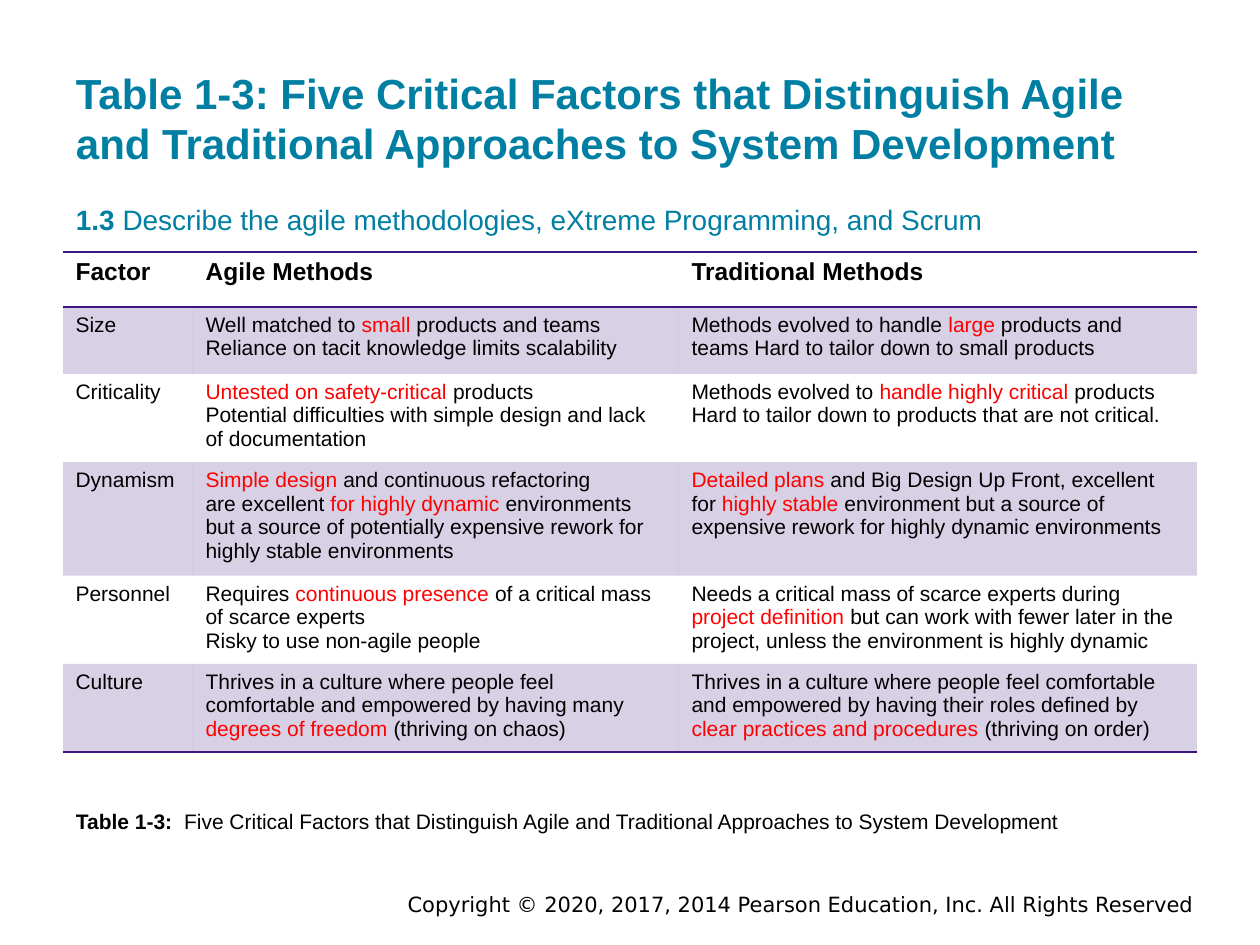
from lxml.etree import SubElement
from pptx import Presentation
from pptx.dml.color import RGBColor
from pptx.enum.text import MSO_ANCHOR as Anchor, PP_ALIGN as Align
from pptx.oxml.ns import qn
from pptx.util import Emu, Pt

COLORS = {"teal": "007FA3", "purple": "3C1581", "black": "000000", "red": "FF0000"}
TITLE = "Five Critical Factors that Distinguish Agile and Traditional Approaches to System Development"
LEFT, WIDTH = 63, 1134
COLUMNS = [130, 486, 518]
ROW_HEIGHTS = [55, 67, 83, 107, 83, 83]

FACTORS = [
    ["Factor", "Agile Methods", "Traditional Methods"],
    ["Size",
     "Well matched to |small| products and teams Reliance on tacit knowledge limits scalability",
     "Methods evolved to handle |large| products and teams Hard to tailor down to small products"],
    ["Criticality",
     "|Untested on safety-critical |products\n"
     "Potential difficulties with simple design and lack of documentation",
     "Methods evolved to |handle highly critical |products "
     "Hard to tailor down to products that are not critical."],
    ["Dynamism",
     "|Simple design |and continuous refactoring\n"
     "are excellent |for highly dynamic |environments but a source of "
     "potentially expensive rework for highly stable environments",
     "|Detailed plans |and Big Design Up Front, excellent for |highly stable |environment "
     "but a source of expensive rework for highly dynamic environments"],
    ["Personnel",
     "Requires |continuous presence |of a critical mass of scarce experts\n"
     "Risky to use non-agile people",
     "Needs a critical mass of scarce experts during |project definition |but can work "
     "with fewer later in the project, unless the environment is highly dynamic"],
    ["Culture",
     "Thrives in a culture where people feel comfortable and empowered by having many "
     "|degrees of freedom |(thriving on chaos)",
     "Thrives in a culture where people feel comfortable and empowered by having "
     "their roles defined by |clear practices and procedures |(thriving on order)"],
]


def px(length):
    return Emu(length * 914400 // 126)


def rgb(name):
    return RGBColor.from_string(COLORS[name])


class SlideBuilder:
    font = "Arial"
    no_grid_style = "{2D5ABB26-0587-4C30-8999-92F81FD0307C}"

    def __init__(self, page):
        self.page = page

    def add_spans(self, frame, text, size, color, bold=False, accent=None, font=None, align=Align.LEFT):
        frame.word_wrap = True
        for index, line in enumerate(text.split("\n")):
            para = frame.add_paragraph() if index else frame.paragraphs[0]
            para.alignment = align
            for part, words in enumerate(line.split("|")):
                if not words:
                    continue
                emphasized = part % 2 == 1
                span = para.add_run()
                span.text = words
                span.font.name = font or self.font
                span.font.size = Pt(size)
                span.font.bold = bold or (emphasized and accent is None)
                span.font.color.rgb = rgb(accent if emphasized and accent else color)

    def text(self, left, top, width, height, text, size, color, anchor=Anchor.TOP, inset=6, **style):
        box = self.page.shapes.add_textbox(px(left), px(top), px(width), px(height))
        frame = box.text_frame
        frame.vertical_anchor = anchor
        frame.margin_left = frame.margin_right = px(13)
        frame.margin_top = frame.margin_bottom = px(inset)
        self.add_spans(frame, text, size, color, **style)

    def rule(self, cell, side):
        line = SubElement(cell._tc.get_or_add_tcPr(), qn(f"a:{side}"), w=str(Pt(1)))
        fill = SubElement(line, qn("a:solidFill"))
        SubElement(fill, qn("a:srgbClr"), val=COLORS["purple"])

    def shade(self, cell):
        cell.fill.solid()
        cell.fill.fore_color.rgb = rgb("purple")
        color = cell._tc.tcPr.find(qn("a:solidFill")).find(qn("a:srgbClr"))
        SubElement(color, qn("a:alpha"), val="20000")

    def table(self, left, top, columns, heights, rows):
        table = self.page.shapes.add_table(
            len(rows), len(columns), px(left), px(top), px(sum(columns)), px(sum(heights))).table
        table.horz_banding = False
        table._tbl.tblPr.find(qn("a:tableStyleId")).text = self.no_grid_style
        for column, width in zip(table.columns, columns):
            column.width = px(width)
        for index, (row, height, texts) in enumerate(zip(table.rows, heights, rows)):
            row.height = px(height)
            header = index == 0
            for cell, text in zip(row.cells, texts):
                self.add_spans(cell.text_frame, text, 14 if header else 12, "black",
                               bold=header, accent="red")
                if header:
                    self.rule(cell, "lnT")
                if header or index == len(rows) - 1:
                    self.rule(cell, "lnB")
                if index % 2:
                    self.shade(cell)
                else:
                    cell.fill.background()


def main():
    deck = Presentation()
    deck.slide_width, deck.slide_height = px(1260), px(945)
    slide = SlideBuilder(deck.slides.add_slide(deck.slide_layouts[6]))
    slide.text(220, 886, 987, 28,
               "Copyright © 2020, 2017, 2014 Pearson Education, Inc. All Rights Reserved",
               12, "black", font="DejaVu Sans", align=Align.RIGHT)
    slide.text(LEFT, 30, WIDTH, 151, f"Table 1-3: {TITLE}", 24, "teal",
               anchor=Anchor.BOTTOM, inset=13, bold=True)
    slide.text(LEFT, 197, WIDTH, 55,
               "|1.3| Describe the agile methodologies, eXtreme Programming, and Scrum", 16, "teal")
    slide.table(LEFT, 252, COLUMNS, ROW_HEIGHTS, FACTORS)
    slide.text(LEFT, 808, WIDTH, 38, f"|Table 1-3:  |{TITLE}", 12, "black",
               anchor=Anchor.BOTTOM, inset=13)
    deck.save("out.pptx")


if __name__ == "__main__":
    main()
